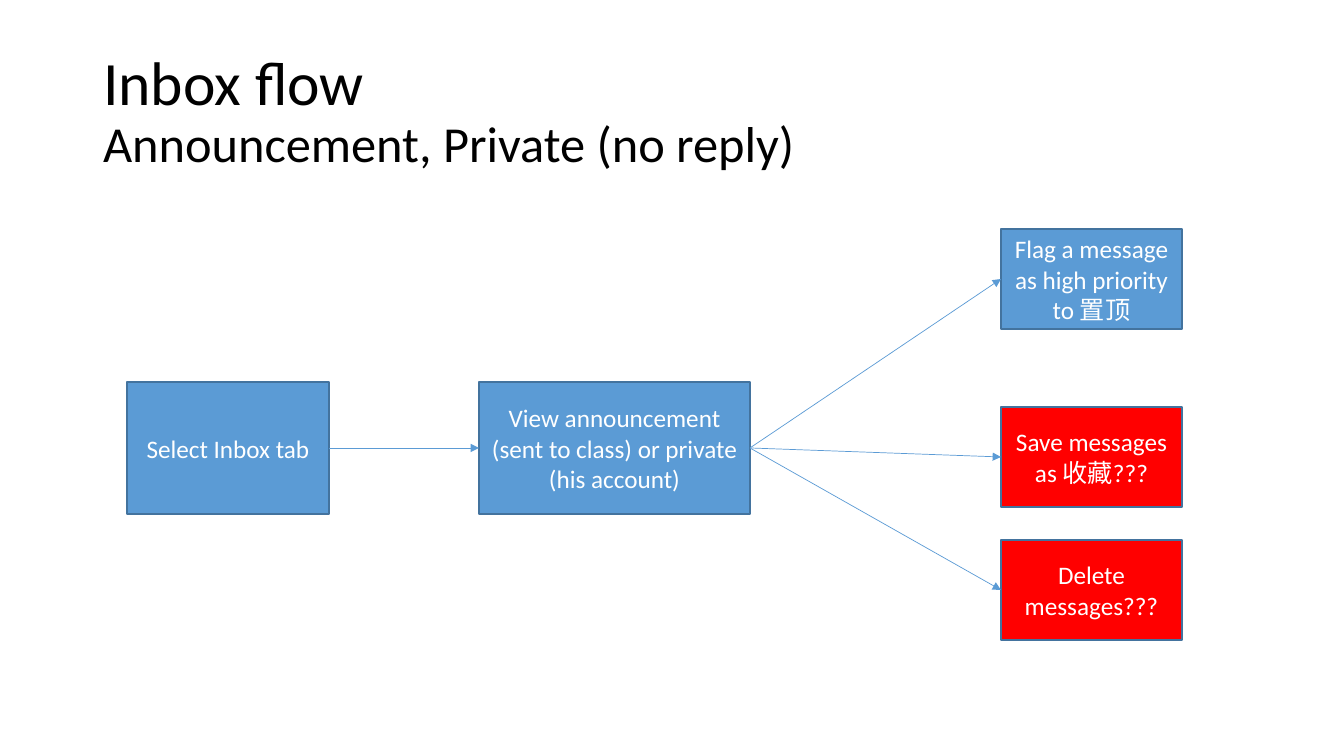
import pptx
import pptx.dml.color
import pptx.enum.shapes
import pptx.enum.text
import pptx.oxml.ns
import pptx.util
from lxml import etree

PX = 914400 / 100.8
BLUE, RED, EDGE = "5B9BD5", "FF0000", "43739E"


def px(*lengths):
    """Turn px lengths into a list of EMU lengths."""
    return [pptx.util.Emu(round(n * PX)) for n in lengths]


def rgb(value):
    return pptx.dml.color.RGBColor.from_string(value)


prs = pptx.Presentation()
prs.slide_width, prs.slide_height = px(1344, 756)
s = prs.slides.add_slide(prs.slide_layouts[5])

# Title
title = s.shapes.title
title.left, title.top, title.width, title.height = px(93, 40, 1159, 146)
tf = title.text_frame
tf.auto_size = pptx.enum.text.MSO_AUTO_SIZE.NONE
tf.vertical_anchor = pptx.enum.text.MSO_ANCHOR.MIDDLE
p = tf.paragraphs[0]
p.alignment = pptx.enum.text.PP_ALIGN.LEFT
p.line_spacing = 0.9
for i, (text, size) in enumerate([("Inbox flow ", 44), ("Announcement, Private (no reply)", 36)]):
    if i:
        p.add_line_break()
    r = p.add_run()
    r.text = text
    for name, value in {"name": "Calibri", "size": pptx.util.Pt(size)}.items():
        setattr(r.font, name, value)
    r.font.color.rgb = rgb("000000")

# Steps: name, left, top, width, height, fill, text
steps = [
    ("select", 127, 382, 202, 132, BLUE, "Select Inbox tab"),
    ("view", 479, 382, 271, 132, BLUE, "View announcement (sent to class) or private (his account)"),
    ("flag", 1001, 229, 181, 100, BLUE, "Flag a message as high priority to 置顶"),
    ("save", 1001, 407, 181, 100, RED, "Save messages as 收藏???"),
    ("delete", 1001, 540, 181, 100, RED, "Delete messages???"),
]
boxes = {}
for step, left, top, width, height, fill, text in steps:
    sp = s.shapes.add_shape(pptx.enum.shapes.MSO_SHAPE.RECTANGLE, *px(left, top, width, height))
    sp.shadow.inherit = False
    sp.fill.solid()
    sp.fill.fore_color.rgb = rgb(fill)
    sp.line.color.rgb = rgb(EDGE)
    sp.line.width = pptx.util.Pt(1)
    tf = sp.text_frame
    tf.word_wrap = True
    tf.vertical_anchor = pptx.enum.text.MSO_ANCHOR.MIDDLE
    p = tf.paragraphs[0]
    p.alignment = pptx.enum.text.PP_ALIGN.CENTER
    r = p.add_run()
    r.text = text
    for name, value in {"name": "Calibri", "size": pptx.util.Pt(18)}.items():
        setattr(r.font, name, value)
    r.font.color.rgb = rgb("FFFFFF")
    boxes[step] = sp

# Arrows from the right side of one step to the left side of the next
for start, end in [("select", "view"), ("view", "flag"), ("view", "save"), ("view", "delete")]:
    arrow = s.shapes.add_connector(pptx.enum.shapes.MSO_CONNECTOR.STRAIGHT, 0, 0, 0, 0)
    arrow.begin_connect(boxes[start], 3)
    arrow.end_connect(boxes[end], 1)
    arrow.line.color.rgb = rgb(BLUE)
    arrow.line.width = pptx.util.Pt(0.5)
    etree.SubElement(arrow.line._get_or_add_ln(), pptx.oxml.ns.qn("a:tailEnd"), type="triangle")
    etree.SubElement(arrow._element.spPr, pptx.oxml.ns.qn("a:effectLst"))

prs.save("out.pptx")
